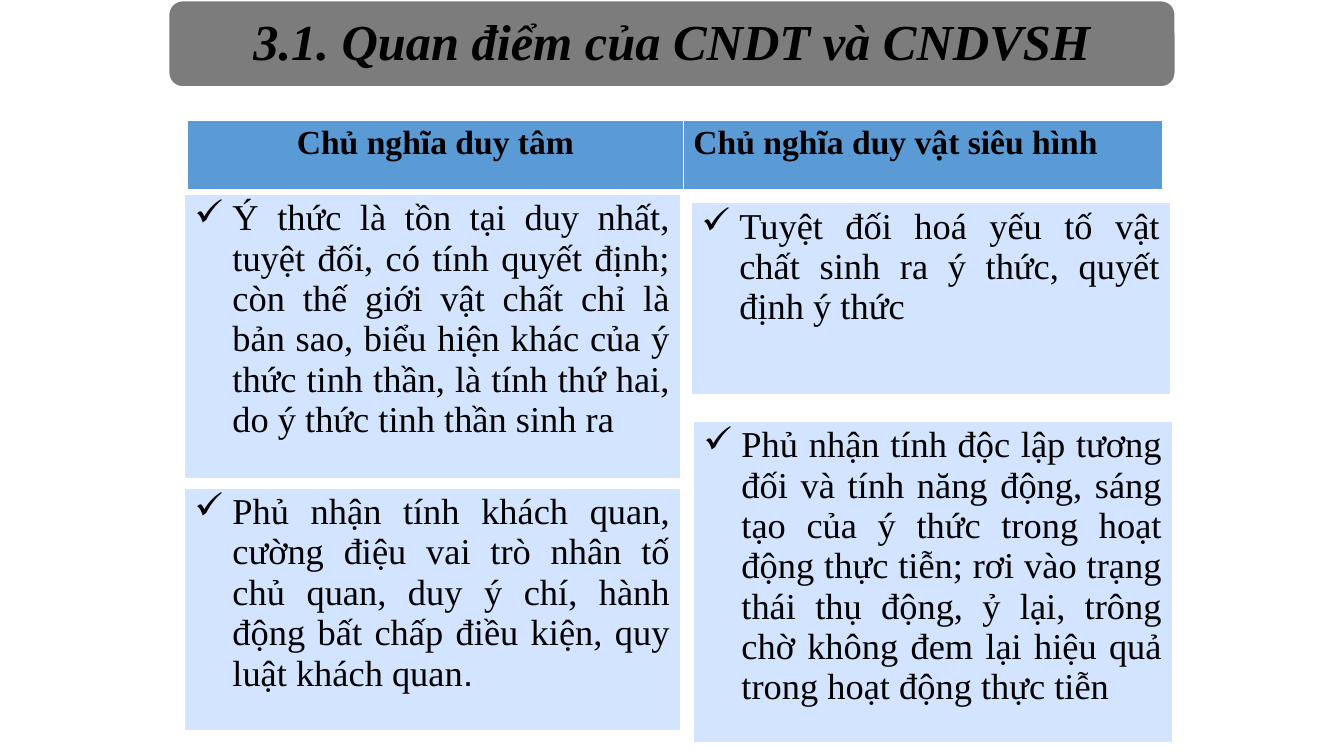
from lxml import etree
from pptx import Presentation
from pptx import util as u
from pptx.dml.color import RGBColor
from pptx.enum import shapes, text
from pptx.oxml import ns

BLACK = RGBColor(0x00, 0x00, 0x00)
WHITE = RGBColor(0xFF, 0xFF, 0xFF)
GREY = RGBColor(0x7C, 0x7C, 0x7C)
BLUE = RGBColor(0x5B, 0x9B, 0xD5)
PALE_BLUE = RGBColor(0xD2, 0xE4, 0xFF)
SERIF = "Times New Roman"
HANG = 27

TITLE = "3.1. Quan điểm của CNDT và CNDVSH"
SCHOOLS = ["Chủ nghĩa duy tâm", "Chủ nghĩa duy vật siêu hình"]
IDEALISM, MATERIALISM = 354.2, 342
VIEWS = [
    ((131.8, 347.8, IDEALISM, 174),
     ["Phủ nhận tính khách quan, cường điệu vai trò nhân tố chủ quan, duy ý chí, "
      "hành động bất chấp điều kiện, quy luật khách quan", "."]),
    ((131.8, 138.2, IDEALISM, 203.8),
     ["Ý thức là tồn tại duy nhất, tuyệt đối, có tính quyết định; còn thế giới vật chất "
      "chỉ là bản sao, biểu hiện khác của ý thức tinh thần, là tính thứ hai, "
      "do ý thức tinh thần sinh ra"]),
    ((495.4, 300.2, MATERIALISM, 230.4),
     ["Phủ nhận tính độc lập tương đối và tính năng động, sáng tạo của ý thức trong "
      "hoạt động thực tiễn; rơi vào trạng thái thụ động, ỷ lại, trông chờ không đem lại "
      "hiệu quả trong hoạt động thực tiễn"]),
    ((493.9, 144, MATERIALISM, 138.2),
     ["Tuyệt đối hoá yếu tố vật chất sinh ra ý thức, quyết định ý thức"]),
]


def style(run, size, bold=False, italic=False, face=SERIF):
    run.font.name = face
    run.font.size = u.Pt(size)
    run.font.bold = bold
    run.font.italic = italic
    run.font.color.rgb = BLACK


def add_title(slide, box):
    banner = slide.shapes.add_shape(
        shapes.MSO_SHAPE.ROUNDED_RECTANGLE, *map(u.Pt, box))
    banner.shadow.inherit = False
    banner.fill.solid()
    banner.fill.fore_color.rgb = GREY
    banner.line.color.rgb = WHITE
    banner.line.width = u.Pt(2)
    frame = banner.text_frame
    frame.text = TITLE
    frame.word_wrap = True
    frame.vertical_anchor = text.MSO_ANCHOR.MIDDLE
    frame.margin_top = frame.margin_bottom = 0
    heading = frame.paragraphs[0]
    heading.alignment = text.PP_ALIGN.CENTER
    heading.line_spacing = 0.9
    style(heading.runs[0], 36, bold=True, italic=True)


def paint_cell(cell, color, top_width, bottom_width):
    tc_pr = cell._tc.get_or_add_tcPr()
    for side, width in zip("LRTB", (1, 1, top_width, bottom_width)):
        border = etree.SubElement(tc_pr, ns.qn(f"a:ln{side}"), w=str(u.Pt(width)))
        fill = etree.SubElement(border, ns.qn("a:solidFill"))
        etree.SubElement(fill, ns.qn("a:srgbClr"), val=str(WHITE))
    cell.fill.solid()
    cell.fill.fore_color.rgb = color


def add_row(slide, left, top, widths, height):
    row = slide.shapes.add_table(
        1, len(widths), *map(u.Pt, (left, top, sum(widths), height))).table
    for column, width in zip(row.columns, widths):
        column.width = u.Pt(width)
    return row


def add_schools(slide, box):
    left, top, width, height = box
    row = add_row(slide, left, top, [IDEALISM, width - IDEALISM], height)
    for cell, school in zip(row.iter_cells(), SCHOOLS):
        paint_cell(cell, BLUE, 1, 3)
        cell.text_frame.text = school
        style(cell.text_frame.paragraphs[0].runs[0], 24, bold=True)
    row.cell(0, 0).text_frame.paragraphs[0].alignment = text.PP_ALIGN.CENTER


def add_view(slide, box, parts):
    left, top, width, height = box
    cell = add_row(slide, left, top, [width], height).cell(0, 0)
    paint_cell(cell, PALE_BLUE, 3, 1)
    view = cell.text_frame.paragraphs[0]
    view.alignment = text.PP_ALIGN.JUSTIFY
    p_pr = view._p.get_or_add_pPr()
    p_pr.set("marL", str(u.Pt(HANG)))
    p_pr.set("indent", str(-u.Pt(HANG)))
    etree.SubElement(p_pr, ns.qn("a:buChar"), char="✓")
    for part, face in zip(parts, (SERIF, "Arial")):
        run = view.add_run()
        run.text = part
        style(run, 26, face=face)


def main():
    deck = Presentation()
    deck.slide_width, deck.slide_height = u.Pt(960), u.Pt(540)
    slide = deck.slides.add_slide(deck.slide_layouts[6])
    add_title(slide, (120, 0, 720, 62.6))
    add_schools(slide, (133.9, 85.7, IDEALISM + MATERIALISM, 50.4))
    for box, parts in VIEWS:
        add_view(slide, box, parts)
    deck.save("out.pptx")


if __name__ == "__main__":
    main()
